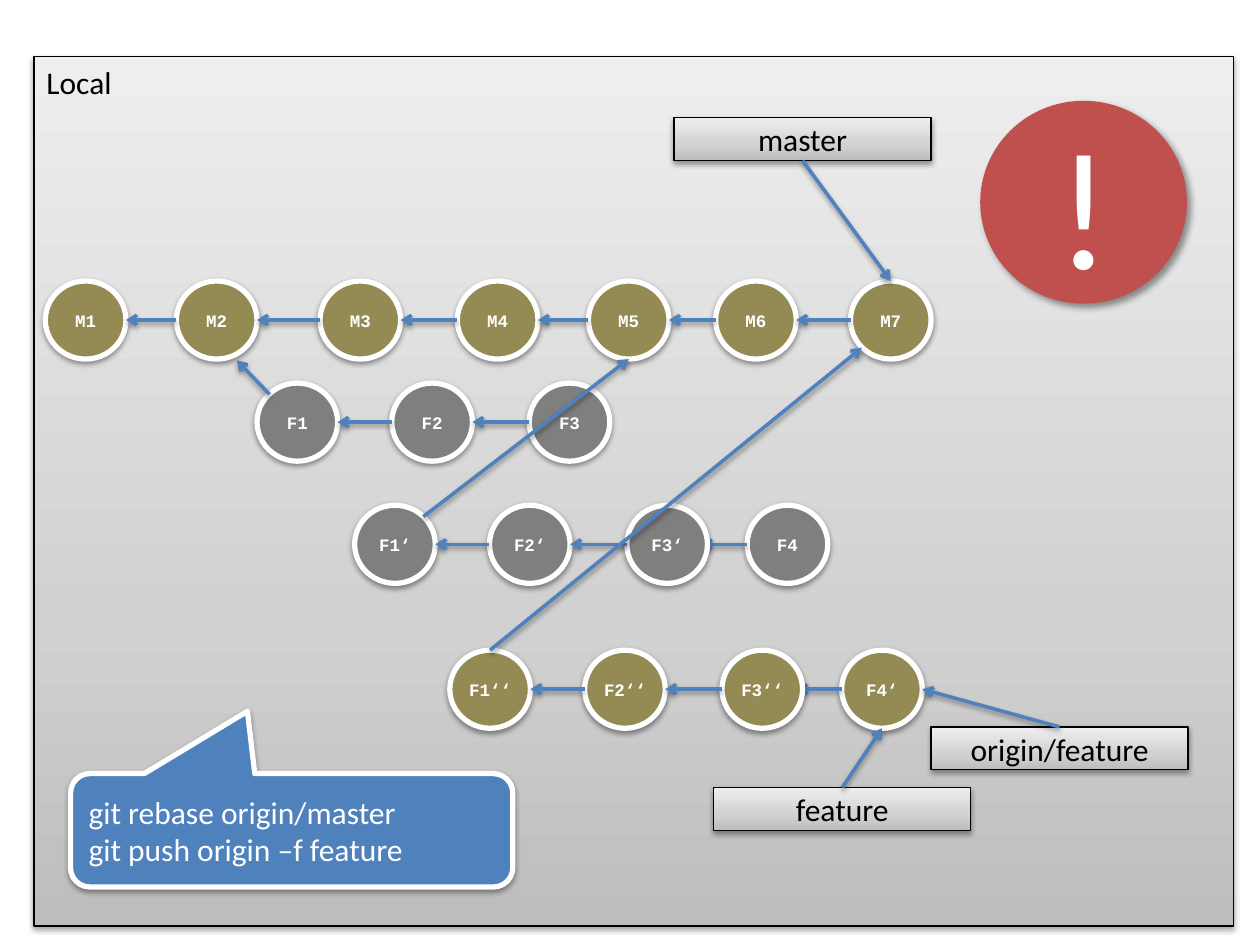
from itertools import pairwise

from lxml.etree import SubElement
from pptx import Presentation
from pptx.dml.color import RGBColor
from pptx.enum.shapes import MSO_CONNECTOR, MSO_SHAPE
from pptx.enum.text import MSO_ANCHOR, PP_ALIGN
from pptx.oxml.ns import qn
from pptx.util import Inches, Pt

HUES = {
    "blue": "4F81BD", "olive": "948A54", "gray": "7F7F7F", "red": "C0504D",
    "white": "FFFFFF", "black": "000000",
}
FADE = [(0, "BDBDBD"), (35, "D1D1D1"), (100, "EEEEEE")]
SOFT = (38, 3.1, 1.6, 90)  # alpha, blur, distance, angle
DEEP = (40, 4, 3, 45)
WIDE, HIGH = 6.4, 6.2  # commit circle, in grid cells


def rgb(hue):
    return RGBColor.from_string(HUES[hue])


class Board:
    """Draws on one slide with a grid of 100 columns by 75 rows."""

    def __init__(self, deck):
        self.col = deck.slide_width / 100
        self.row = deck.slide_height / 75
        self.slide = deck.slides.add_slide(deck.slide_layouts[6])

    def spot(self, x, y):
        return round(x * self.col), round(y * self.row)

    def shade(self, item, look):
        alpha, blur, dist, turn = look
        box = SubElement(item._element.spPr, qn("a:effectLst"))
        cast = SubElement(box, qn("a:outerShdw"), blurRad=str(Pt(blur)),
                          dist=str(Pt(dist)), dir=str(turn * 60000),
                          algn="ctr", rotWithShape="0")
        tint = SubElement(cast, qn("a:srgbClr"), val=HUES["black"])
        SubElement(tint, qn("a:alpha"), val=str(alpha * 1000))

    def fade(self, item):
        item.fill.gradient()
        item.fill.gradient_angle = 90
        stops = item._element.spPr.find(".//" + qn("a:gsLst"))
        stops.clear()
        for at, tint in FADE:
            stop = SubElement(stops, qn("a:gs"), pos=str(at * 1000))
            SubElement(stop, qn("a:srgbClr"), val=tint)

    def label(self, item, lines, hue, font, **form):
        frame = item.text_frame
        form = {"word_wrap": True, "vertical_anchor": MSO_ANCHOR.MIDDLE} | form
        align = form.pop("alignment", PP_ALIGN.CENTER)
        for key, value in form.items():
            setattr(frame, key, value)
        frame.text = "\n".join(lines)
        for para in frame.paragraphs:
            para.alignment = align
            for key, value in font.items():
                setattr(para.font, key, value)
            para.font.color.rgb = rgb(hue)

    def shape(self, kind, x, y, wide, high, hue=None, edge=None, look=SOFT):
        item = self.slide.shapes.add_shape(
            kind, *self.spot(x, y), *self.spot(wide, high))
        if hue:
            item.fill.solid()
            item.fill.fore_color.rgb = rgb(hue)
        else:
            self.fade(item)
        if edge:
            tint, width = edge
            item.line.color.rgb = rgb(tint)
            item.line.width = Pt(width)
        else:
            item.line.fill.background()
        self.shade(item, look)
        return item

    def box(self, x, y, wide, high, text, **form):
        item = self.shape(MSO_SHAPE.RECTANGLE, x, y, wide, high,
                          edge=("black", 0.75))
        self.label(item, [text], "black", {"name": "Calibri", "size": Pt(18)}, **form)
        return item

    def node(self, x, y, text, hue):
        item = self.shape(MSO_SHAPE.OVAL, x, y, WIDE, HIGH, hue, ("white", 3))
        font = {"name": "Courier New", "size": Pt(10), "bold": True}
        self.label(item, [text], "white", font, word_wrap=False)

    def arrow(self, start, end, tag=None, side=0):
        item = self.slide.shapes.add_connector(
            MSO_CONNECTOR.STRAIGHT, *self.spot(*start), *self.spot(*end))
        if tag:
            item.begin_connect(tag, side)
        item.line.color.rgb = rgb("blue")
        item.line.width = Pt(2)
        SubElement(item.line._get_or_add_ln(), qn("a:tailEnd"), type="arrow")
        self.shade(item, SOFT)

    def chain(self, y, hue, names, lefts):
        """A row of commits, each pointing back to the one before."""
        for name, x in zip(names, lefts):
            self.node(x, y, name, hue)
        mid = y + HIGH / 2
        for prior, x in pairwise(lefts):
            self.arrow((x, mid), (prior + WIDE, mid))


def main():
    deck = Presentation()
    deck.slide_width, deck.slide_height = Inches(10), Inches(7.5)
    board = Board(deck)

    # Repository panel
    board.box(2.7, 4.5, 95.2, 69, "Local", alignment=PP_ALIGN.LEFT,
              vertical_anchor=MSO_ANCHOR.TOP)

    # Last feature commits, whose arrows run under the commit before
    for x, y, name, hue, end in [(59.3, 40.1, "F4", "gray", 55.6),
                                 (66.8, 51.6, "F4‘", "olive", 63.2)]:
        board.node(x, y, name, hue)
        board.arrow((x, y + HIGH / 2), (end, y + HIGH / 2))

    # Commit rows
    board.chain(22.3, "olive", [f"M{n}" for n in range(1, 8)],
                [3.6, 14, 25.4, 36.3, 46.7, 56.8, 67.5])
    for y, first, hue, mark in [(30.4, 20.4, "gray", ""),
                                (40.1, 28.15, "gray", "‘"),
                                (51.6, 35.7, "olive", "‘‘")]:
        board.chain(y, hue, [f"F{n}{mark}" for n in (1, 2, 3)],
                    [first, first + 10.7, first + 21.6])

    # Branch points
    board.arrow((21.4, 31.3), (18.8, 28.6))
    board.arrow((33.6, 41), (49.9, 28.5))
    board.arrow((38.9, 51.6), (68.4, 27.6))

    # Branch labels and the commits they point to
    for x, y, name, side, end in [(53.5, 9.35, "master", 2, (70.7, 22.3)),
                                  (56.65, 62.5, "feature", 0, (70, 57.8)),
                                  (73.9, 57.7, "origin/feature", 0, (73.2, 54.7))]:
        tag = board.box(x, y, 20.4, 3.4, name)
        board.arrow((x, y), end, tag, side)

    # Command callout
    note = board.shape(MSO_SHAPE.ROUNDED_RECTANGULAR_CALLOUT,
                       5.6, 61.4, 35.1, 9, "blue", ("white", 3))
    for n, value in enumerate((-0.1, -1.05, 0.17)):
        note.adjustments[n] = value
    board.label(note, ["git rebase origin/master", "git push origin –f feature"],
                "white", {"name": "Calibri", "size": Pt(18)},
                alignment=PP_ALIGN.LEFT)

    # Warning sign
    sign = board.shape(MSO_SHAPE.OVAL, 77.8, 8, 16.4, 16.1, "red", look=DEEP)
    board.label(sign, ["!"], "white", {"name": "Calibri", "size": Pt(96)})

    deck.save("out.pptx")


if __name__ == "__main__":
    main()
